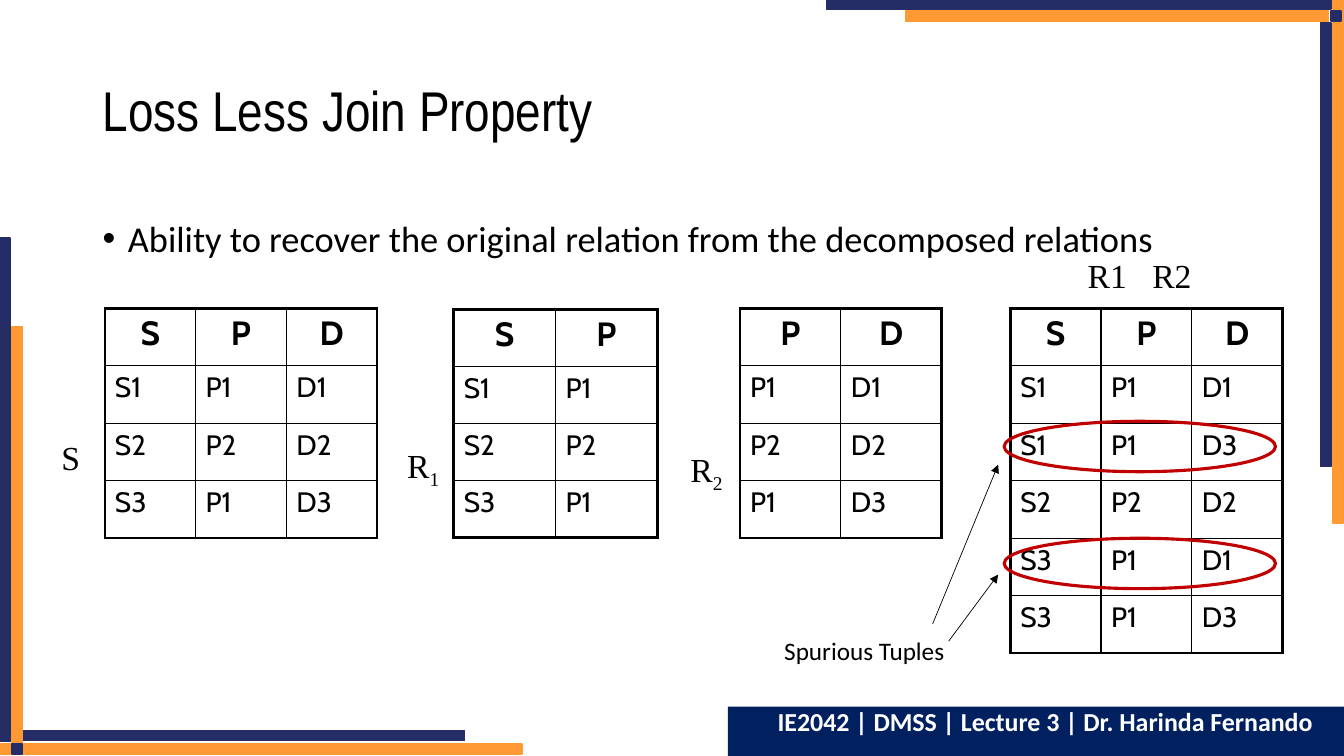
from dataclasses import dataclass

from lxml import etree
from pptx import Presentation
from pptx.dml.color import RGBColor
from pptx.enum.shapes import MSO_CONNECTOR, MSO_SHAPE
from pptx.enum.text import MSO_ANCHOR, PP_ALIGN
from pptx.oxml.ns import qn
from pptx.util import Inches, Pt

RECTANGLE, ELLIPSE = MSO_SHAPE.RECTANGLE, MSO_SHAPE.OVAL
STRAIGHT = MSO_CONNECTOR.STRAIGHT
TOP, MIDDLE = MSO_ANCHOR.TOP, MSO_ANCHOR.MIDDLE
LEFT, CENTER = PP_ALIGN.LEFT, PP_ALIGN.CENTER


@dataclass(frozen=True)
class Theme:
    black: str = "000000"
    white: str = "FFFFFF"
    orange: str = "FF9933"
    indigo: str = "242D66"
    navy: str = "002060"
    red: str = "C00000"
    title_font: str = "Arial Narrow"
    body_font: str = "Calibri"
    label_font: str = "Times New Roman"
    table_font: str = "Cabin"
    title_size: float = 40
    body_size: float = 26
    label_size: float = 24
    cell_size: float = 20
    note_size: float = 18
    footer_size: float = 18.5
    thick: float = 2.25
    thin: float = 1
    hairline: float = 0.5


class SlideBuilder:
    def __init__(self, slide, theme):
        self.slide = slide
        self.theme = theme

    def shape(self, kind, box, fill=None, line=None, width=1):
        shape = self.slide.shapes.add_shape(kind, *map(Inches, box))
        shape.shadow.inherit = False
        if fill:
            shape.fill.solid()
            shape.fill.fore_color.rgb = RGBColor.from_string(fill)
        else:
            shape.fill.background()
        if line:
            shape.line.color.rgb = RGBColor.from_string(line)
            shape.line.width = Pt(width)
        else:
            shape.line.fill.background()
        return shape

    def run(self, paragraph, text, font, size, color=None, bold=False):
        run = paragraph.add_run()
        run.text = text
        run.font.name = font
        run.font.size = Pt(size)
        run.font.bold = bold
        run.font.color.rgb = RGBColor.from_string(color or self.theme.black)
        return run

    def text(self, box, text, font, size, anchor=TOP, wrap=True, spacing=None):
        frame = self.slide.shapes.add_textbox(*map(Inches, box)).text_frame
        frame.word_wrap = wrap
        frame.vertical_anchor = anchor
        paragraph = frame.paragraphs[0]
        if spacing:
            paragraph.line_spacing = spacing
        self.run(paragraph, text, font, size)
        return paragraph

    def bullet(self, box, text):
        paragraph = self.text(box, text, self.theme.body_font, self.theme.body_size, spacing=1.7)
        properties = paragraph._p.get_or_add_pPr()
        properties.set("marL", str(Inches(0.25)))
        properties.set("indent", str(-Inches(0.25)))
        etree.SubElement(properties, qn("a:buFont"), typeface="Arial")
        etree.SubElement(properties, qn("a:buChar"), char="•")

    def relation_label(self, box, name, subscript=""):
        theme = self.theme
        paragraph = self.text(box, name, theme.label_font, theme.label_size, wrap=False)
        if subscript:
            run = self.run(paragraph, subscript, theme.label_font, theme.label_size)
            run._r.get_or_add_rPr().set("baseline", "-25000")

    def join_label(self, box, first, second, second_left):
        """Label two relations, the second one at a tab stop."""
        paragraph = self.text(box, f"{first}\t{second}", self.theme.label_font, self.theme.label_size)
        stops = etree.SubElement(paragraph._p.get_or_add_pPr(), qn("a:tabLst"))
        etree.SubElement(stops, qn("a:tab"), pos=str(Inches(second_left)), algn="l")

    def border(self, cell, side, width):
        properties = cell._tc.get_or_add_tcPr()
        line = etree.SubElement(properties, qn(f"a:ln{side}"), w=str(Pt(width)))
        fill = etree.SubElement(line, qn("a:solidFill"))
        etree.SubElement(fill, qn("a:srgbClr"), val=self.theme.black)

    def relation(self, left, top, column_width, row_height, rows):
        """Draw a relation with a bold header row and a thick outer frame."""
        theme = self.theme
        row_count, column_count = len(rows), len(rows[0])
        table = self.slide.shapes.add_table(
            row_count, column_count, Inches(left), Inches(top),
            Inches(column_width * column_count), Inches(row_height * row_count)).table
        table.first_row = table.horz_banding = False
        for column in table.columns:
            column.width = Inches(column_width)
        for row_index, values in enumerate(rows):
            table.rows[row_index].height = Inches(row_height)
            header = row_index == 0
            for column_index, value in enumerate(values):
                cell = table.cell(row_index, column_index)
                paragraph = cell.text_frame.paragraphs[0]
                paragraph.alignment = CENTER if header else LEFT
                size = theme.label_size if header else theme.cell_size
                self.run(paragraph, value, theme.table_font, size, bold=header)
                outer_sides = {
                    "L": column_index == 0,
                    "R": column_index == column_count - 1,
                    "T": header,
                    "B": row_index == row_count - 1,
                }
                for side, outer in outer_sides.items():
                    self.border(cell, side, theme.thick if outer else theme.thin)
                cell.fill.background()

    def arrow(self, start, end):
        connector = self.slide.shapes.add_connector(STRAIGHT, *map(Inches, start + end))
        connector.line.color.rgb = RGBColor.from_string(self.theme.black)
        connector.line.width = Pt(self.theme.hairline)
        etree.SubElement(connector.line._get_or_add_ln(), qn("a:tailEnd"), type="triangle")
        etree.SubElement(connector._element.spPr, qn("a:effectLst"))

    def footer(self, box, text):
        theme = self.theme
        frame = self.shape(RECTANGLE, box, theme.navy).text_frame
        frame.word_wrap = True
        frame.vertical_anchor = TOP
        paragraph = frame.paragraphs[0]
        paragraph.alignment = CENTER
        paragraph.line_spacing = 0.8
        paragraph._p.get_or_add_pPr().set("marL", str(Inches(0.17)))
        self.run(paragraph, text, theme.body_font, theme.footer_size, theme.white, bold=True)


def main():
    presentation = Presentation()
    presentation.slide_width, presentation.slide_height = Inches(13.33), Inches(7.5)
    theme = Theme()
    builder = SlideBuilder(presentation.slides.add_slide(presentation.slide_layouts[6]), theme)

    corner_bars = [
        ((13.22, -0.01, 0.1, 5.2), theme.orange),
        ((13.1, 0.23, 0.1, 4.4), theme.indigo),
        ((8.2, -0.01, 5, 0.1), theme.indigo),
        ((8.98, 0.11, 4.2, 0.1), theme.orange),
        ((13.2, 0.11, 0.1, 0.1), theme.indigo),
        ((-0.02, 7.38, 5.2, 0.1), theme.orange),
        ((0.21, 7.25, 4.4, 0.1), theme.indigo),
        ((0, 2.36, 0.1, 5), theme.indigo),
        ((0.12, 3.24, 0.1, 4.2), theme.orange),
        ((0.12, 7.38, 0.1, 0.1), theme.indigo),
    ]
    for box, color in corner_bars:
        builder.shape(RECTANGLE, box, color, color, theme.thin)

    builder.text((0.92, 0.4, 11.5, 1.45), "Loss Less Join Property",
                 theme.title_font, theme.title_size, MIDDLE, spacing=0.9)
    builder.bullet((0.92, 1.79, 11.67, 4.89),
                   "Ability to recover the original relation from the decomposed relations")

    relations = [
        (1.04, 3.06, 0.9, 0.57, ["S P D", "S1 P1 D1", "S2 P2 D2", "S3 P1 D3"]),
        (4.5, 3.07, 1.01, 0.565, ["S P", "S1 P1", "S2 P2", "S3 P1"]),
        (7.34, 3.06, 1, 0.57, ["P D", "P1 D1", "P2 D2", "P1 D3"]),
        (10.02, 3.06, 0.9, 0.57,
         ["S P D", "S1 P1 D1", "S1 P1 D3", "S2 P2 D2", "S3 P1 D1", "S3 P1 D3"]),
    ]
    for left, top, column_width, row_height, tuples in relations:
        builder.relation(left, top, column_width, row_height, [row.split() for row in tuples])

    builder.relation_label((0.51, 4.29, 0.39, 0.5), "S")
    builder.relation_label((3.94, 4.36, 0.53, 0.5), "R", "1")
    builder.relation_label((6.75, 4.4, 0.53, 0.5), "R", "2")
    builder.join_label((10.69, 2.48, 1.24, 0.5), "R1", "R2", 0.64)

    for top in (5.34, 4.18):
        builder.shape(ELLIPSE, (9.96, top, 2.69, 0.5), line=theme.red, width=theme.thick)
    builder.text((7.68, 6.25, 2.34, 0.4), "Spurious Tuples", theme.body_font, theme.note_size)
    builder.arrow((9.25, 6.19), (9.9, 4.61))
    builder.arrow((9.41, 6.36), (9.9, 5.7))
    builder.footer((7.22, 7.01, 6.12, 0.49), "IE2042 | DMSS | Lecture 3 | Dr. Harinda Fernando")
    presentation.save("out.pptx")


if __name__ == "__main__":
    main()
